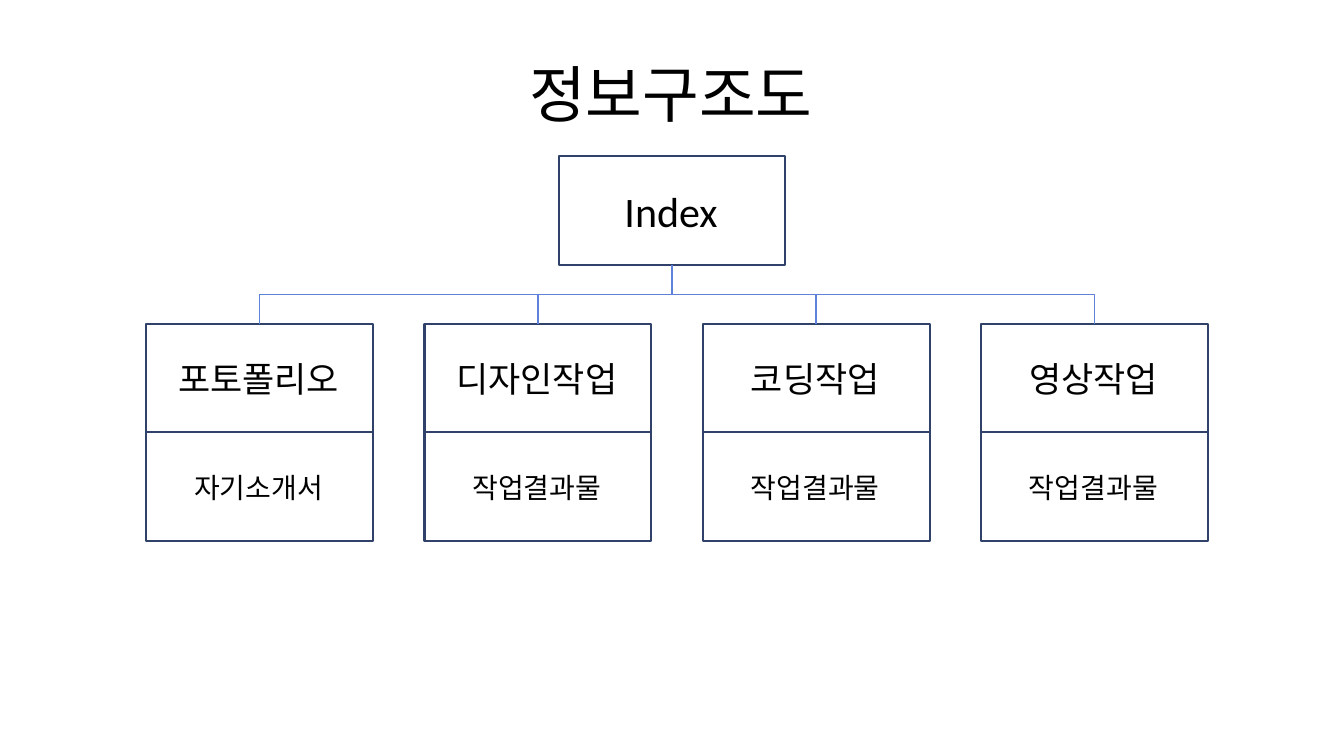
"""Build a site structure slide: an index box above four two-level branches."""
from pptx import Presentation
from pptx.dml.color import RGBColor
from pptx.enum.shapes import MSO_CONNECTOR, MSO_SHAPE
from pptx.enum.text import MSO_ANCHOR, PP_ALIGN
from pptx.oxml.ns import qn
from pptx.util import Inches, Pt
from lxml import etree

RECT, STRAIGHT, ELBOW = MSO_SHAPE.RECTANGLE, MSO_CONNECTOR.STRAIGHT, MSO_CONNECTOR.ELBOW
MIDDLE, CENTER = MSO_ANCHOR.MIDDLE, PP_ALIGN.CENTER
W, H = 13.33, 7.5
BOX_W, BOX_H = 2.25, 1.08
LEFT, PITCH = 1.45, 2.76
INDEX_TOP, ROW_TOP = 1.55, 3.21
INDEX_BOTTOM = INDEX_TOP + BOX_H
DROP = ROW_TOP - INDEX_BOTTOM
BRANCHES = [
    ("포토폴리오", "자기소개서"),
    ("디자인작업", "작업결과물"),
    ("코딩작업", "작업결과물"),
    ("영상작업", "작업결과물"),
]


def add_text(text, x, y, w, h, size, fill=None, line=None):
    """Add centred text, in a bordered rectangle when a fill is given."""
    box = [Inches(v) for v in (x, y, w, h)]
    if fill:
        sp = s.shapes.add_shape(RECT, *box)
        sp.shadow.inherit = False
        sp.fill.solid()
        sp.fill.fore_color.rgb = RGBColor.from_string(fill)
        sp.line.color.rgb = RGBColor.from_string(line)
        sp.line.width = Pt(1.5)
    else:
        sp = s.shapes.add_textbox(*box)
    tf = sp.text_frame
    tf.word_wrap = True
    tf.vertical_anchor = MIDDLE
    tf.margin_left, tf.margin_right = Inches(0.08), Inches(0.1)
    p = tf.paragraphs[0]
    p.alignment = CENTER
    r = p.add_run()
    r.text = text
    r.font.name, r.font.size = "Calibri", Pt(size)
    r.font.color.rgb = RGBColor.from_string("000000")
    return sp


def add_line(kind, x1, y1, x2, y2, color="5E81D9"):
    """Add a thin connector without a shadow."""
    c = s.shapes.add_connector(kind, *[Inches(v) for v in (x1, y1, x2, y2)])
    c.line.color.rgb = RGBColor.from_string(color)
    c.line.width = Pt(1)
    etree.SubElement(c._element.spPr, qn("a:effectLst"))
    return c


prs = Presentation()
prs.slide_width, prs.slide_height = Inches(W), Inches(H)
s = prs.slides.add_slide(prs.slide_layouts[6])

add_text("정보구조도", W * 0.05, H * 0.04, W * 0.9, 1.25, 44)
style = {"fill": "FFFFFF", "line": "30416A"}
mid = W / 2
index = add_text("Index", mid - BOX_W / 2, INDEX_TOP, BOX_W, BOX_H, 30, **style)

for i, (menu, content) in enumerate(BRANCHES):
    x = LEFT + i * PITCH
    cx = x + BOX_W / 2
    card = add_text(menu, x, ROW_TOP, BOX_W, BOX_H, 25, **style)
    add_text(content, x, ROW_TOP + BOX_H, BOX_W, BOX_H, 20, **style)
    if 0 < i < len(BRANCHES) - 1:
        c = add_line(STRAIGHT, cx, ROW_TOP, cx, ROW_TOP - DROP / 2)
        c.begin_connect(card, 0)
        continue
    c = add_line(ELBOW, mid, INDEX_BOTTOM, cx, ROW_TOP)
    c.begin_connect(index, 2)
    c.end_connect(card, 0)
    span = abs(cx - mid)
    c.left, c.top = Inches((mid + cx - DROP) / 2), Inches((INDEX_BOTTOM + ROW_TOP - span) / 2)
    c.width, c.height = Inches(DROP), Inches(span)
    xfrm = c._element.spPr.find(qn("a:xfrm"))
    xfrm.set("rot", "5400000" if cx < mid else "16200000")
    xfrm.set("flipH", "0" if cx < mid else "1")

prs.save("out.pptx")
